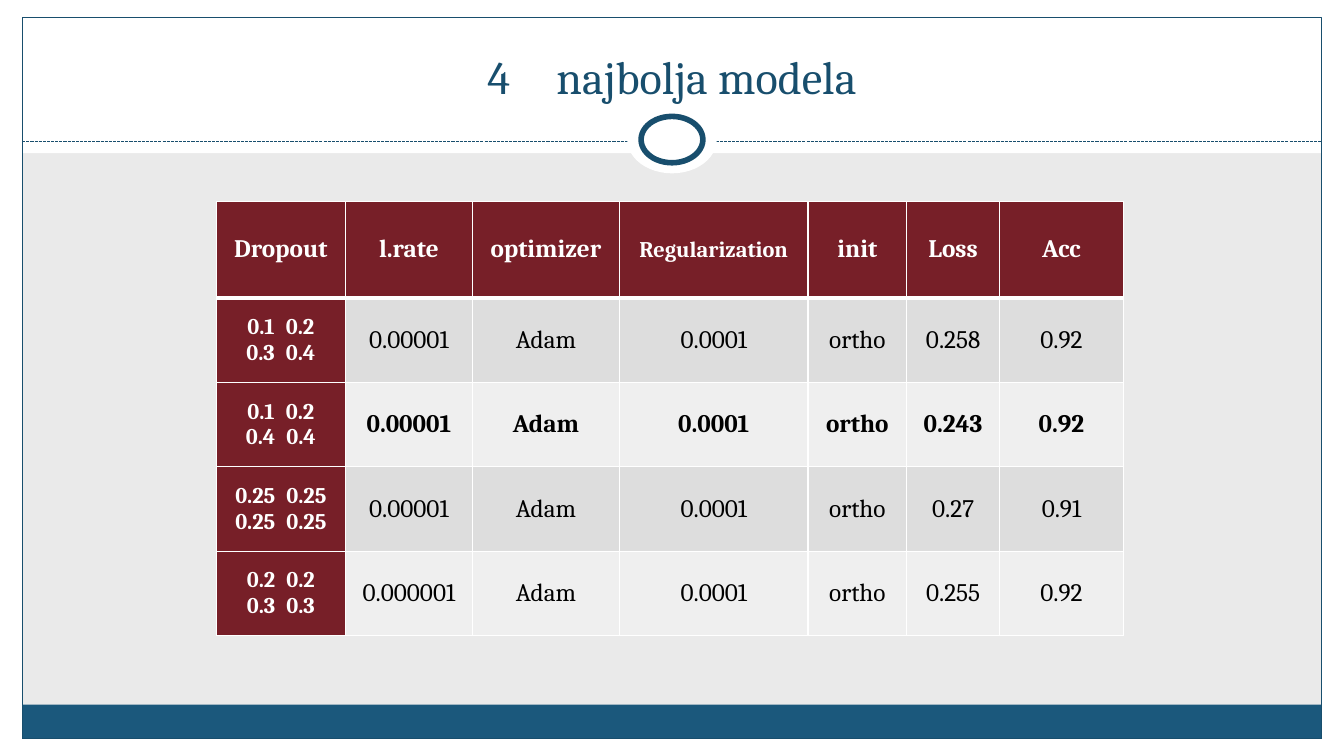
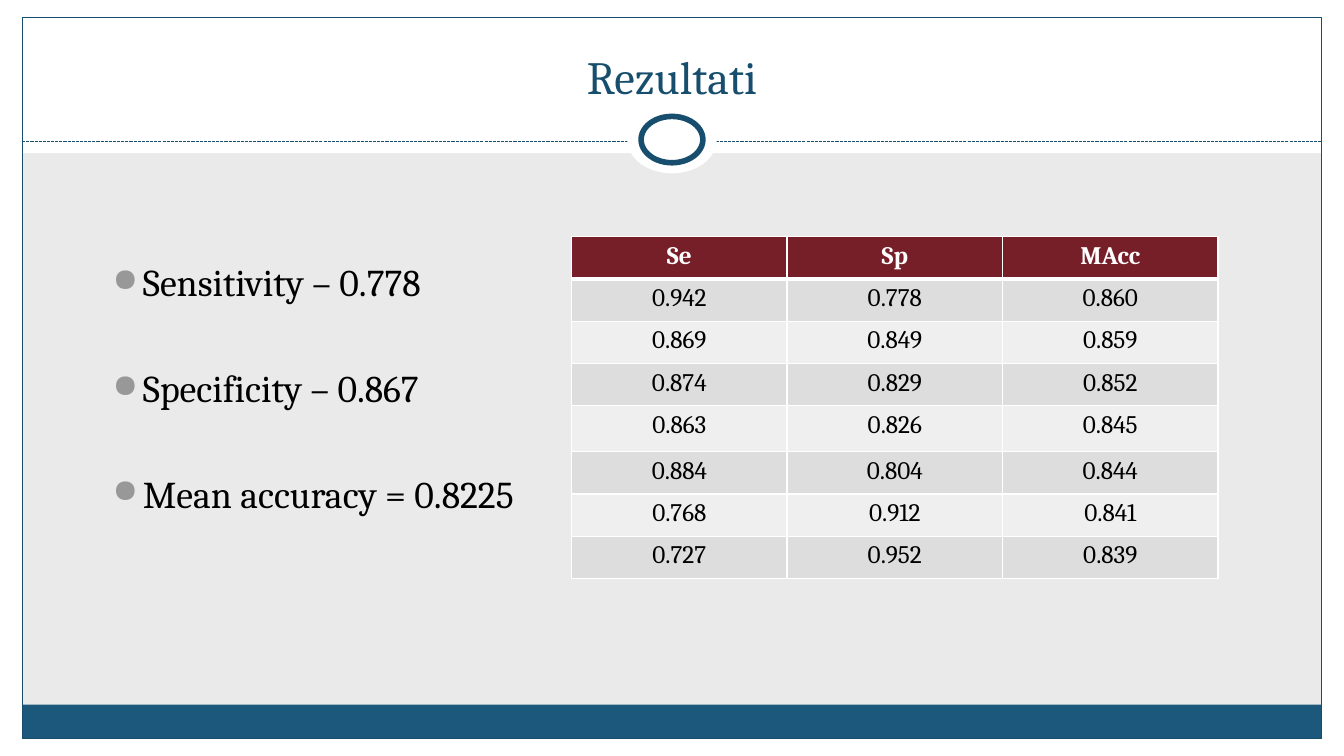
from typing import NamedTuple

from lxml.etree import SubElement
from pptx import Presentation
from pptx.dml.color import RGBColor
from pptx.enum.dml import MSO_LINE
from pptx.enum.shapes import MSO_CONNECTOR, MSO_SHAPE
from pptx.enum.text import MSO_ANCHOR, PP_ALIGN
from pptx.oxml import parse_xml
from pptx.oxml.ns import nsdecls, qn
from pptx.util import Inches, Pt

WHITE = RGBColor(0xFF, 0xFF, 0xFF)
BLACK = RGBColor(0x00, 0x00, 0x00)
PAPER = RGBColor(0xEA, 0xEA, 0xEA)
NAVY = RGBColor(0x18, 0x4E, 0x6D)
FOOTER_BLUE = RGBColor(0x1B, 0x58, 0x7C)
WINE = RGBColor(0x77, 0x1F, 0x28)
BULLET_GREY = RGBColor(0x98, 0x98, 0x98)
BANDS = (RGBColor(0xDD, 0xDD, 0xDD), RGBColor(0xEF, 0xEF, 0xEF))
FONT = "Cambria"
SLIDE_WIDTH, SLIDE_HEIGHT = Inches(13.33), Inches(7.5)
WIDE_GAP, GAP = "\u2003", "\u2002"


class Box(NamedTuple):
    """An area given in hundredths of the slide's width and height."""

    left: float
    top: float
    width: float
    height: float

    def lengths(self):
        """Return left, top, width and height as slide lengths."""
        sides = (SLIDE_WIDTH, SLIDE_HEIGHT) * 2
        return [int(side * share / 100) for side, share in zip(sides, self)]

    def inset(self, across, down):
        """Return the box drawn in by the same margin on opposite sides."""
        return Box(self.left + across, self.top + down,
                   self.width - 2 * across, self.height - 2 * down)

    def around(self, width, height):
        """Return a box of the given size with the same centre."""
        return self.inset((self.width - width) / 2, (self.height - height) / 2)


SLIDE = Box(0, 0, 100, 100)
FRAME = SLIDE.inset(1.65, 2.27)
HEADER = Box(0, 0, 100, 20.27)
RULE_TOP = 18.67
FOOTER = Box(FRAME.left, 93.2, FRAME.width, 4.53)
TITLE = Box(3.3, 3.33, 93.4, 11.07)
RING = Box(46.67, 14, 6.66, 8.93)


def apply(target, values):
    """Set each attribute of the target from a dict."""
    for name, value in values.items():
        setattr(target, name, value)


def style(para, size, color, bold=False, **layout):
    """Format a paragraph and its text."""
    apply(para, layout)
    for span in para.runs:
        apply(span.font, {"name": FONT, "size": Pt(size), "bold": bold})
        span.font.color.rgb = color


def draw_shape(page, box, kind=MSO_SHAPE.RECTANGLE, fill=None, line=None, weight=0.75):
    """Draw a preset shape with an optional fill and outline."""
    shape = page.shapes.add_shape(kind, *box.lengths())
    shape.shadow.inherit = False
    if fill is None:
        shape.fill.background()
    else:
        shape.fill.solid()
        shape.fill.fore_color.rgb = fill
    if line is None:
        shape.line.fill.background()
    else:
        shape.line.color.rgb = line
        shape.line.width = Pt(weight)


def draw_rule(page, box, top):
    """Draw the dashed line across the box at the given height."""
    left, level, width, _ = box._replace(top=top).lengths()
    rule = page.shapes.add_connector(MSO_CONNECTOR.STRAIGHT, left, level, left + width, level)
    rule.line.color.rgb = NAVY
    apply(rule.line, {"width": Pt(0.75), "dash_style": MSO_LINE.SQUARE_DOT})
    SubElement(rule._element.spPr, qn("a:effectLst"))


def draw_text(page, box, lines, anchor):
    """Add a wrapping text box and return its paragraphs."""
    frame = page.shapes.add_textbox(*box.lengths()).text_frame
    apply(frame, {"word_wrap": True, "vertical_anchor": anchor, "text": "\n".join(lines)})
    return frame.paragraphs


def add_page(deck, title):
    """Add a page with the shared frame, bands, ring and title."""
    page = deck.slides.add_slide(deck.slide_layouts[6])
    page.background.fill.solid()
    page.background.fill.fore_color.rgb = PAPER
    edges = (
        Box(0, 100 - FRAME.top, 100, FRAME.top),
        HEADER,
        Box(0, 0, FRAME.left, 100),
        Box(100 - FRAME.left, 0, FRAME.left, 100),
    )
    for edge in edges:
        draw_shape(page, edge, fill=WHITE)
    draw_shape(page, FOOTER, fill=FOOTER_BLUE)
    draw_shape(page, FRAME, line=NAVY)
    draw_rule(page, FRAME, RULE_TOP)
    draw_shape(page, RING, MSO_SHAPE.OVAL, fill=WHITE)
    draw_shape(page, RING.around(4.6, 6.13), MSO_SHAPE.OVAL, WHITE, NAVY, 4)
    for para in draw_text(page, TITLE, [title], MSO_ANCHOR.BOTTOM):
        style(para, 33, NAVY, alignment=PP_ALIGN.CENTER)
    return page


def draw_bullets(page, box, lines):
    """Place a widely spaced bulleted list in the box."""
    for para in draw_text(page, box, lines, MSO_ANCHOR.TOP):
        style(para, 27, BLACK, space_before=Pt(5.4), space_after=Pt(37.8))
        props = para._p.get_or_add_pPr()
        props.set("marL", str(Inches(0.3)))
        props.set("indent", str(-Inches(0.3)))
        color = SubElement(props, qn("a:buClr"))
        SubElement(color, qn("a:srgbClr"), val=str(BULLET_GREY))
        SubElement(props, qn("a:buSzPct"), val="85000")
        SubElement(props, qn("a:buChar"), char="●")


def border_cell(cell, top, bottom):
    """Give a cell white borders of the given top and bottom weights."""
    props = cell._tc.get_or_add_tcPr()
    for place, (side, weight) in enumerate(zip("LRTB", (1, 1, top, bottom))):
        props.insert(place, parse_xml(
            f'<a:ln{side} {nsdecls("a")} w="{Pt(weight)}"><a:solidFill>'
            f'<a:srgbClr val="{WHITE}"/></a:solidFill></a:ln{side}>'))


def draw_table(page, box, rows, columns, heights, cell_format, side_header=False, best=None):
    """Fill the box with a banded table, sharing its size by weights."""
    left, top, width, height = box.lengths()
    table = page.shapes.add_table(
        len(rows), len(columns), left, top, width, height).table
    for column, share in zip(table.columns, columns):
        column.width = int(width * share / sum(columns))
    for row, share in zip(table.rows, heights):
        row.height = int(height * share / sum(heights))
    for r, values in enumerate(rows):
        for c, value in enumerate(values):
            cell = table.cell(r, c)
            apply(cell, {"text": value, **cell_format})
            beside = side_header and c == 0 and r > 0
            heading = r == 0 or beside
            cell.fill.solid()
            cell.fill.fore_color.rgb = WINE if heading else BANDS[(r - 1) % 2]
            border_cell(cell, 3 if r == 1 else 1, 3 if r == 0 else 1)
            size = 16 if beside or len(value) > 10 else 18
            for para in cell.text_frame.paragraphs:
                style(para, size, WHITE if heading else BLACK,
                      heading or r == best, alignment=PP_ALIGN.CENTER)


def dropout(*rates):
    """Write four dropout rates as two lines of two."""
    return "\n".join(GAP.join(rates[start:start + 2]) for start in (0, 2))


def build_models(deck):
    """Build the page that compares the four best models."""
    page = add_page(deck, f"4{WIDE_GAP}najbolja modela")
    models = [
        (("0.1", "0.2", "0.3", "0.4"), "0.00001", "0.258", "0.92"),
        (("0.1", "0.2", "0.4", "0.4"), "0.00001", "0.243", "0.92"),
        (("0.25",) * 4, "0.00001", "0.27", "0.91"),
        (("0.2", "0.2", "0.3", "0.3"), "0.000001", "0.255", "0.92"),
    ]
    rows = [("Dropout", "l.rate", "optimizer", "Regularization", "init", "Loss", "Acc")]
    rows += [(dropout(*rates), speed, "Adam", "0.0001", "ortho", loss, accuracy)
             for rates, speed, loss, accuracy in models]
    cell_format = {
        "vertical_anchor": MSO_ANCHOR.MIDDLE,
        "margin_left": Inches(0.07), "margin_right": Inches(0.07),
        "margin_top": 0, "margin_bottom": 0,
    }
    draw_table(page, Box(16.1, 26.67, 67.5, 57.4), rows,
               (1.28, 1.26, 1.46, 1.87, 0.98, 0.92, 1.23),
               (0.96,) + (0.84,) * 4, cell_format, side_header=True, best=2)


def build_results(deck):
    """Build the page with the summary and the table of results."""
    page = add_page(deck, "Rezultati")
    draw_bullets(page, Box(7.65, 33.6, 34.2, 45.87), (
        "Sensitivity – 0.778", "Specificity – 0.867", "Mean accuracy = 0.8225"))
    rows = [
        ("Se", "Sp", "MAcc"),
        ("0.942", "0.778", "0.860"),
        ("0.869", "0.849", "0.859"),
        ("0.874", "0.829", "0.852"),
        ("0.863", "0.826", "0.845"),
        ("0.884", "0.804", "0.844"),
        ("0.768", "0.912", "0.841"),
        ("0.727", "0.952", "0.839"),
    ]
    draw_table(page, Box(42.53, 31.33, 48.1, 45.2), rows, (1, 1, 1),
               (0.42,) * 4 + (0.46,) + (0.42,) * 3,
               {"vertical_anchor": MSO_ANCHOR.TOP})


def main():
    """Build and save the deck."""
    deck = Presentation()
    apply(deck, {"slide_width": SLIDE_WIDTH, "slide_height": SLIDE_HEIGHT})
    build_models(deck)
    build_results(deck)
    deck.save("out.pptx")


main()
